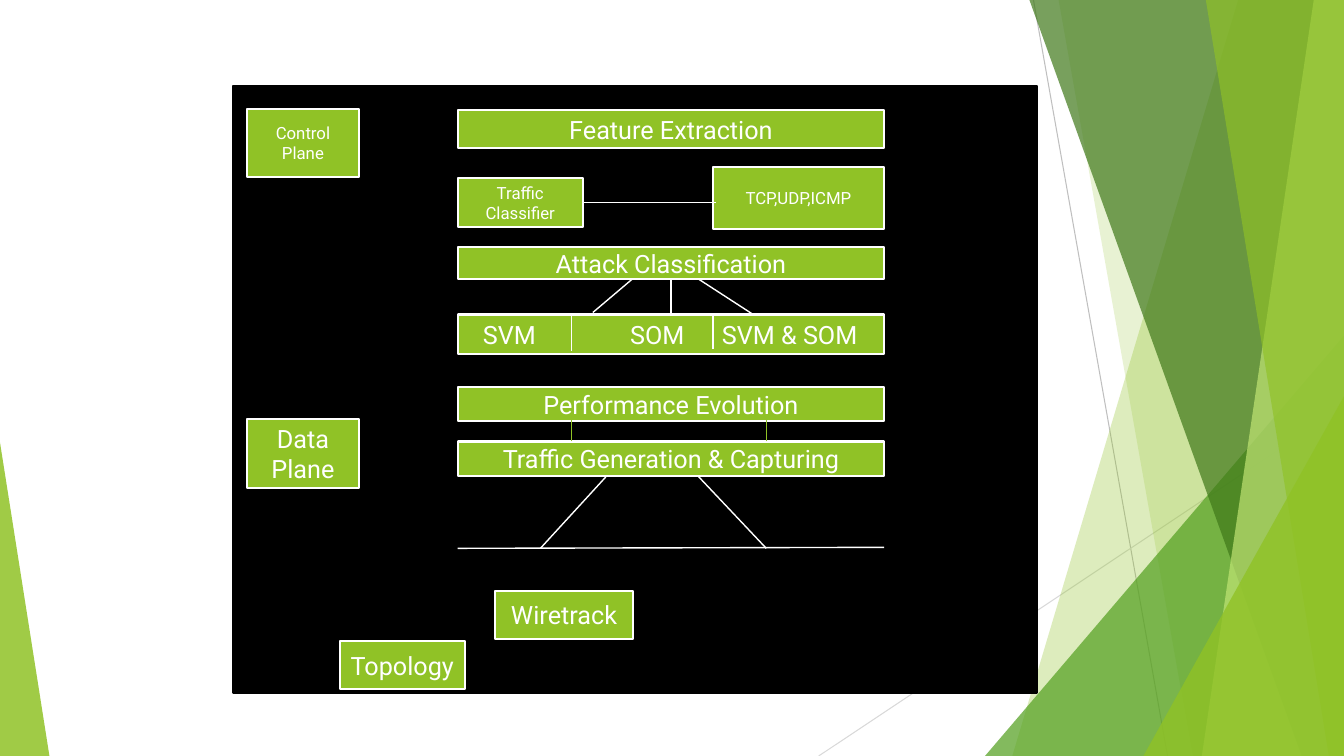
import pptx
import pptx.util
import pptx.dml.color
import pptx.enum.shapes
import pptx.enum.text
import pptx.oxml.ns
from lxml import etree

RGB = pptx.dml.color.RGBColor
SHAPE = pptx.enum.shapes.MSO_SHAPE
ALIGN = pptx.enum.text.PP_ALIGN
qn = pptx.oxml.ns.qn

LIME = RGB(0x90, 0xC2, 0x26)
GREEN = RGB(0x54, 0xA0, 0x21)
MOSS = RGB(0x3F, 0x78, 0x19)
PALE = RGB(0xC0, 0xE4, 0x74)
WHITE = RGB(0xFF, 0xFF, 0xFF)
BLACK = RGB(0, 0, 0)
GRAY = RGB(0xBF, 0xBF, 0xBF)
SILVER = RGB(0xD9, 0xD9, 0xD9)

FONT = "Roboto"
WIDE, HIGH = 1333, 750


def px(count):
    return pptx.util.Emu(count * 9144)


def paint(shape, color, alpha=100, edge=None):
    shape.shadow.inherit = False
    shape.fill.solid()
    shape.fill.fore_color.rgb = color
    if alpha < 100:
        tint = shape.fill._xPr.find(".//" + qn("a:srgbClr"))
        etree.SubElement(tint, qn("a:alpha"), val=str(alpha * 1000))
    if edge is None:
        shape.line.fill.background()
    else:
        shape.line.color.rgb = edge
        shape.line.width = pptx.util.Pt(1.5)


def write(shape, words, size=18, color=WHITE, align=ALIGN.CENTER, inset=10, tabs=()):
    frame = shape.text_frame
    frame.word_wrap = True
    frame.margin_left = px(inset)
    frame.vertical_anchor = pptx.enum.text.MSO_ANCHOR.MIDDLE
    para = frame.paragraphs[0]
    para.alignment = align
    if tabs:
        stops = etree.SubElement(para._p.get_or_add_pPr(), qn("a:tabLst"))
        for stop in tabs:
            etree.SubElement(stops, qn("a:tab"), pos=str(px(stop)), algn="l")
    run = para.add_run()
    run.text = words
    run.font.name = FONT
    run.font.size = pptx.util.Pt(size)
    run.font.color.rgb = color


def block(slide, x, y, w, h, words, **style):
    shape = slide.shapes.add_shape(SHAPE.RECTANGLE, px(x), px(y), px(w), px(h))
    paint(shape, LIME, edge=WHITE)
    write(shape, words, **style)
    return shape


def rule(slide, x1, y1, x2, y2, color=WHITE, width=1):
    line = slide.shapes.add_connector(
        pptx.enum.shapes.MSO_CONNECTOR.STRAIGHT, px(x1), px(y1), px(x2), px(y2))
    line.line.color.rgb = color
    line.line.width = pptx.util.Pt(width)
    etree.SubElement(line._element.spPr, qn("a:effectLst"))
    return line


def band(slide, x, y, w, h, head, foot, color, alpha):
    path = slide.shapes.build_freeform(x + head, y, scale=px(1))
    path.add_line_segments([(x + w, y), (x + w, y + h), (x + foot, y + h)])
    paint(path.convert_to_shape(), color, alpha)


def wedge(slide, x, y, w, h, tip, color, alpha):
    shape = slide.shapes.add_shape(
        SHAPE.ISOSCELES_TRIANGLE, px(x), px(y), px(w), px(h))
    shape.adjustments[0] = tip
    paint(shape, color, alpha)


def facets(slide, x, y, w, h):
    right, base = x + w, y + h
    rule(slide, x + 1025, y, x + 1158, base, GRAY, 0.75)
    rule(slide, right, y + 403, x + 812, base, SILVER, 0.75)
    band(slide, x, y, w, h, 1228, 1004, LIME, 30)
    band(slide, x, y, w, h, 1050, 1183, LIME, 20)
    wedge(slide, right - 356, base - 417, 356, 417, 1, GREEN, 72)
    for head, foot, color, alpha in (
            (1021, 1291, MOSS, 70), (1303, 1192, PALE, 70), (1196, 1318, LIME, 65)):
        band(slide, x, y, w, h, head, foot, color, alpha)
    wedge(slide, right - 199, base - 357, 199, 357, 1, LIME, 80)
    wedge(slide, x, base - 311, 49, 311, 0, LIME, 85)


def planes(slide, x, y, w, h):
    panel = slide.shapes.add_shape(SHAPE.RECTANGLE, px(x), px(y), px(w), px(h))
    paint(panel, BLACK, edge=BLACK)
    block(slide, x + 14, y + 23, 111, 68, "Control Plane", size=12)
    block(slide, x + 14, y + 331, 111, 68, "Data Plane")
    block(slide, x + 260, y + 501, 137, 48, "Wiretrack")
    block(slide, x + 106, y + 551, 124, 48, "Topology")


def flow(slide, x, y, w, h):
    block(slide, x, y, w, 38, "Feature Extraction")
    sorter = block(slide, x, y + 68, 124, 48, "Traffic Classifier", size=12)
    block(slide, x + w - 170, y + 57, 170, 61, "TCP,UDP,ICMP", size=12)
    attack = block(slide, x, y + 136, w, 32, "Attack Classification")
    models = block(slide, x, y + 203, w, 39, "SVM\tSOM\tSVM & SOM",
                   align=ALIGN.LEFT, inset=25, tabs=(146, 237))
    block(slide, x, y + 275, w, 34, "Performance Evolution")
    block(slide, x, y + 329, w, 34, "Traffic Generation & Capturing")

    tie = rule(slide, x + 124, y + 92, x + 256, y + 92)
    tie.begin_connect(sorter, 3)
    stem = rule(slide, x + w // 2, y + 203, x + w // 2, y + 168)
    stem.begin_connect(models, 0)
    stem.end_connect(attack, 2)
    for x1, y1, x2, y2, color in (
            (113, 205, 113, 239, WHITE),
            (253, 203, 253, 237, WHITE),
            (293, 203, 239, 168, WHITE),
            (173, 168, 134, 201, WHITE),
            (82, h, 147, 364, WHITE),
            (306, h, 239, 364, WHITE),
            (0, h, w, h - 1, WHITE),
            (113, 329, 113, 307, LIME),
            (306, 329, 306, 308, LIME)):
        rule(slide, x + x1, y + y1, x + x2, y + y2, color)


def main():
    deck = pptx.Presentation()
    deck.slide_width, deck.slide_height = px(WIDE), px(HIGH)
    slide = deck.slides.add_slide(deck.slide_layouts[6])
    facets(slide, 0, 0, WIDE, HIGH)
    planes(slide, 231, 85, 798, 602)
    flow(slide, 454, 109, 423, 435)
    deck.save("out.pptx")


if __name__ == "__main__":
    main()
